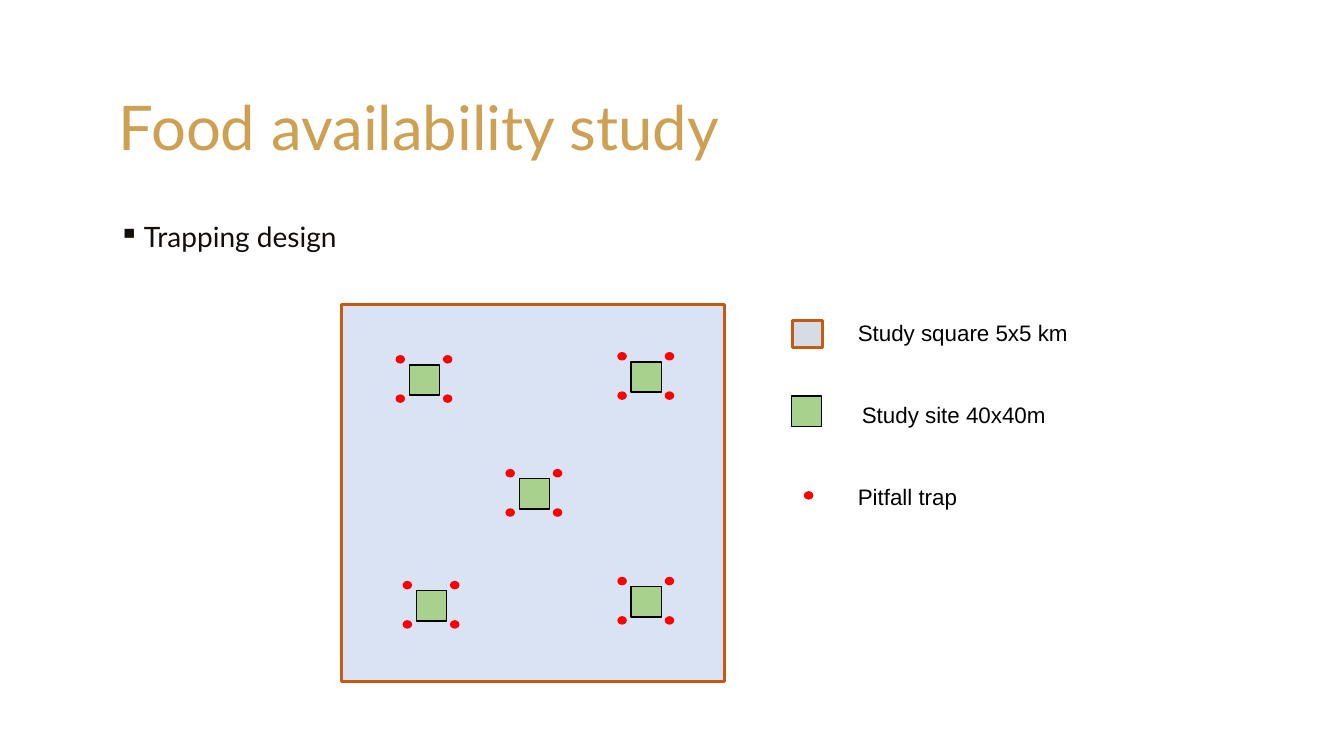
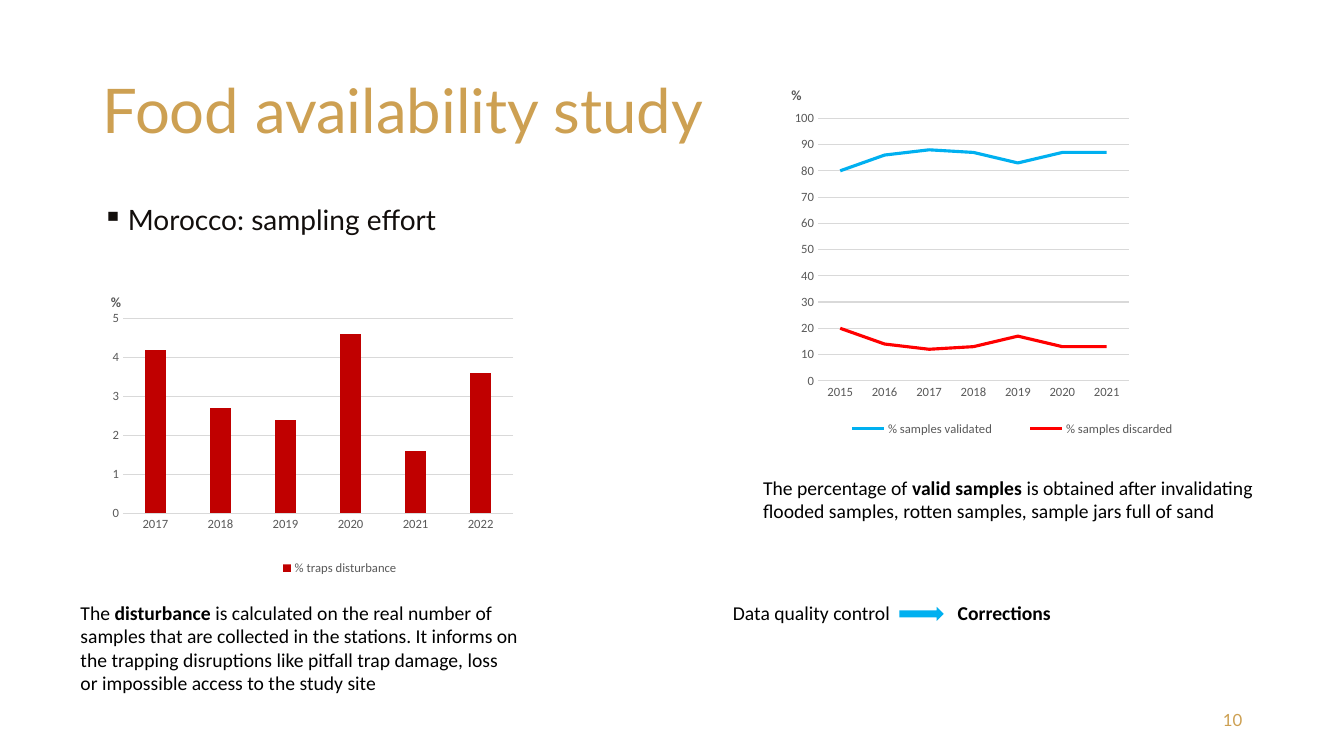
from itertools import product

from lxml.etree import SubElement
from pptx import Presentation
from pptx.chart.data import CategoryChartData
from pptx.dml.color import RGBColor
from pptx.enum.chart import XL_CHART_TYPE, XL_LEGEND_POSITION, XL_TICK_MARK
from pptx.enum.shapes import MSO_SHAPE
from pptx.enum.text import MSO_ANCHOR, MSO_AUTO_SIZE, PP_ALIGN
from pptx.oxml import parse_xml
from pptx.oxml.ns import nsdecls, qn
from pptx.util import Pt

SCALE = 9144
GOLD = RGBColor(0xCD, 0xA0, 0x52)
INK = RGBColor(0x12, 0x0E, 0x0C)
BLACK = RGBColor(0, 0, 0)
GREY = RGBColor(0x59, 0x59, 0x59)
GRID = RGBColor(0xD9, 0xD9, 0xD9)
PALE = RGBColor(0xDA, 0xE3, 0xF3)
STEEL = RGBColor(0xD6, 0xDC, 0xE5)
RUST = RGBColor(0xC5, 0x5A, 0x11)
GREEN = RGBColor(0xA9, 0xD1, 0x8E)
RED = RGBColor(0xFF, 0, 0)
DARK = RGBColor(0xC0, 0, 0)
BLUE = RGBColor(0, 0xB0, 0xF0)


def px(*sizes):
    """Turn px lengths into EMU."""
    return [size * SCALE for size in sizes]


def style(font, name, size, color):
    """Set name, size and colour of a font."""
    font.name, font.size = name, Pt(size)
    font.color.rgb = color


def place(node, spot, inner=False, **sizes):
    """Give a chart part a fixed layout, as fractions of the chart."""
    for old in node.findall(qn("c:layout")):
        node.remove(old)
    root = parse_xml(f"<c:layout {nsdecls('c')}><c:manualLayout/></c:layout>")
    if inner:
        SubElement(root[0], qn("c:layoutTarget")).set("val", "inner")
    for side in "xy":
        SubElement(root[0], qn(f"c:{side}Mode")).set("val", "edge")
    for key, size in sizes.items():
        SubElement(root[0], qn(f"c:{key}")).set("val", str(size))
    node.insert(spot, root)


class Deck:
    """Holds the style and the current slide."""

    def __init__(self):
        """Start an empty wide deck."""
        self.show = Presentation()
        self.show.slide_width, self.show.slide_height = px(1333, 750)

    def page(self, left, top, title, point):
        """Add a slide with its title and its bulleted point."""
        self.slide = self.show.slides.add_slide(self.show.slide_layouts[5])
        head = self.slide.shapes.title
        head.left, head.top, head.width, head.height = px(left, top, 1150, 145)
        frame = head.text_frame
        frame.text = title
        frame.word_wrap = True
        frame.auto_size = MSO_AUTO_SIZE.NONE
        frame.vertical_anchor = MSO_ANCHOR.MIDDLE
        para = frame.paragraphs[0]
        para.alignment = PP_ALIGN.LEFT
        para.line_spacing = 0.9
        style(para.runs[0].font, "Lato", 44, GOLD)
        para = self.text((left, top + 160, 1150, 476), point,
                         name="Lato", size=20, color=INK)
        props = para._p.get_or_add_pPr()
        props.set("marL", "228600")
        props.set("indent", "-228600")
        SubElement(props, qn("a:buChar")).set("char", "▪")
        para.line_spacing = 0.9

    def text(self, box, *parts, name="Calibri", size=14, color=BLACK, bold=False):
        """Add a text box whose parts switch between plain and bold."""
        frame = self.slide.shapes.add_textbox(*px(*box)).text_frame
        frame.word_wrap = True
        para = frame.paragraphs[0]
        for part in parts:
            run = para.add_run()
            run.text = part
            style(run.font, name, size, color)
            run.font.bold = bold
            bold = not bold
        return para

    def number(self, label):
        """Add the page number."""
        para = self.text((942, 699, 300, 32), label, name="Lato", size=12, color=GOLD)
        para.alignment = PP_ALIGN.RIGHT

    def shape(self, kind, box, fill, line=None, width=1):
        """Add a flat preset shape."""
        item = self.slide.shapes.add_shape(kind, *px(*box))
        item.shadow.inherit = False
        item.fill.solid()
        item.fill.fore_color.rgb = fill
        if line is None:
            item.line.fill.background()
        else:
            item.line.color.rgb = line
            item.line.width = Pt(width)

    def square(self, box, fill):
        """Add a study square."""
        self.shape(MSO_SHAPE.RECTANGLE, box, fill, RUST, 2.25)

    def site(self, left, top):
        """Add a study site."""
        self.shape(MSO_SHAPE.RECTANGLE, (left, top, 30, 30), GREEN, BLACK)

    def trap(self, left, top):
        """Add a pitfall trap."""
        self.shape(MSO_SHAPE.FLOWCHART_CONNECTOR, (left, top, 8, 7), RED, RED)

    def chart(self, kind, box, cats, rows, plot, sign, top, step):
        """Add a chart with a percent sign over its value axis."""
        data = CategoryChartData()
        data.categories = cats
        for name, vals, _ in rows:
            data.add_series(name, vals)
        chart = self.slide.shapes.add_chart(kind, *px(*box), data).chart
        style(chart.font, "Calibri", 10, BLACK)
        chart.has_title = False
        chart.has_legend = True
        chart.legend.position = XL_LEGEND_POSITION.BOTTOM
        chart.legend.include_in_layout = False
        style(chart.legend.font, "Calibri", 9, GREY)
        for axis in (chart.category_axis, chart.value_axis):
            axis.major_tick_mark = axis.minor_tick_mark = XL_TICK_MARK.NONE
            style(axis.tick_labels.font, "Calibri", 9, GREY)
        chart.category_axis.format.line.color.rgb = GRID
        chart.category_axis.format.line.width = Pt(0.75)
        axis.minimum_scale, axis.maximum_scale, axis.major_unit = 0, top, step
        axis.tick_labels.number_format = "0"
        axis.tick_labels.number_format_is_linked = False
        axis.format.line.fill.background()
        axis.major_gridlines.format.line.color.rgb = GRID
        axis.major_gridlines.format.line.width = Pt(0.75)
        frame = axis.axis_title.text_frame
        frame.text = "%"
        style(frame.paragraphs[0].runs[0].font, "Calibri", 10, GREY)
        frame._txBody.bodyPr.set("rot", "0")
        frame._txBody.bodyPr.set("vert", "horz")
        place(axis.axis_title._element, 1, x=sign, y=0.08)
        area = chart._chartSpace.chart.plotArea
        place(area, 0, True, **dict(zip("xywh", plot)))
        chart.plots[0].vary_by_categories = False
        for item, (_, _, color) in zip(chart.plots[0].series, rows):
            if kind == XL_CHART_TYPE.LINE:
                item.smooth = False
                item.format.line.color.rgb = color
                item.format.line.width = Pt(2.25)
            else:
                item.format.fill.solid()
                item.format.fill.fore_color.rgb = color
        return chart


def design(deck):
    """Draw the trapping design."""
    deck.page(108, 57, "Food availability study", "Trapping design")
    deck.square((339, 302, 380, 374), PALE)
    for left, top in ((406, 362), (515, 475), (626, 359), (413, 586), (626, 582)):
        deck.site(left, top)
        for right, down in product((-13, 34), (-9, 30)):
            deck.trap(left + right, top + down)
    deck.square((786, 318, 30, 27), STEEL)
    deck.site(785, 393)
    deck.trap(798, 488)
    keys = ((841, "Study square 5x5 km"), (845, "Study site 40x40m"), (841, "Pitfall trap"))
    for row, (left, label) in enumerate(keys):
        deck.text((left, 312 + 81 * row, 380, 37), label, name="Arial", size=16)


def effort(deck):
    """Draw the sampling effort."""
    deck.page(92, 40, "Food availability study", "Morocco: sampling effort")
    deck.number("10")
    deck.text((70, 591, 454, 104), "The ", "disturbance",
              " is calculated on the real number of samples that are collected in "
              "the stations. It informs on the trapping disruptions like pitfall "
              "trap damage, loss or impossible access to the study site")
    deck.text((747, 467, 558, 57), "The percentage of ", "valid samples ",
              "is obtained after invalidating flooded samples, rotten samples, "
              "sample jars full of sand")
    bars = deck.chart(
        XL_CHART_TYPE.COLUMN_CLUSTERED, (98, 263, 478, 312),
        [str(year) for year in range(2017, 2023)],
        [("% traps disturbance", (4.2, 2.7, 2.4, 4.6, 1.6, 3.6), DARK)],
        (0.05, 0.17, 0.81, 0.62), 0.02, 5, 1)
    bars.plots[0].gap_width = 219
    bars.plots[0].overlap = -27
    lines = deck.chart(
        XL_CHART_TYPE.LINE, (739, 48, 482, 434),
        [str(year) for year in range(2015, 2022)],
        [("% samples validated", (80, 86, 88, 87, 83, 87, 87), BLUE),
         ("% samples discarded", (20, 14, 12, 13, 17, 13, 13), RED)],
        (0.15, 0.16, 0.64, 0.6), 0.09, 100, 10)
    place(lines.legend._element, 1, x=0.15, y=0.84, w=0.8, h=0.06)
    deck.text((717, 591, 212, 34), "Data quality control")
    deck.text((940, 591, 190, 34), "Corrections", bold=True)
    deck.shape(MSO_SHAPE.RIGHT_ARROW, (892, 602, 44, 14), BLUE)


def main():
    """Build and save the deck."""
    deck = Deck()
    design(deck)
    effort(deck)
    deck.show.save("out.pptx")


if __name__ == "__main__":
    main()
